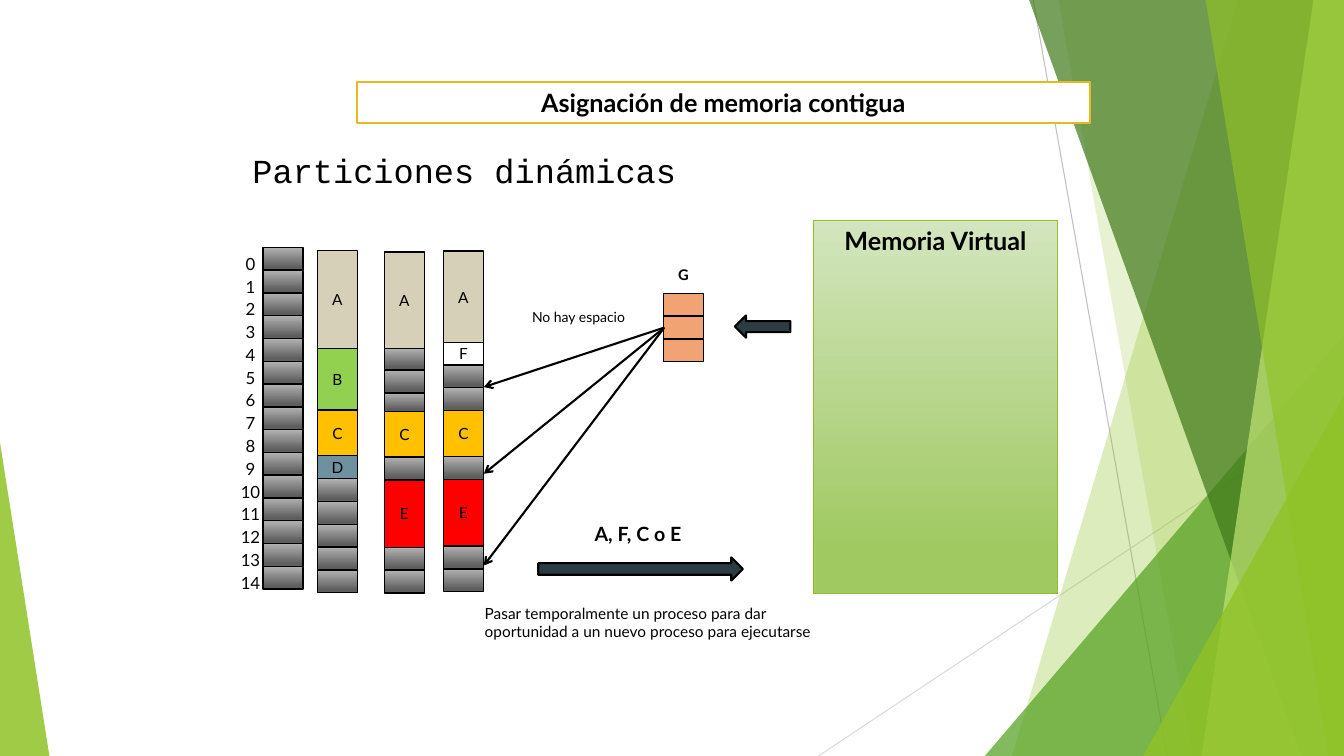
from pptx import Presentation
from pptx.dml.color import RGBColor
from pptx.enum.shapes import MSO_CONNECTOR, MSO_SHAPE
from pptx.enum.text import MSO_ANCHOR, PP_ALIGN
from pptx.oxml.ns import qn
from pptx.util import Inches, Pt
from lxml.etree import SubElement

COLS, ROWS = 133.33, 75  # ten grid cells to the inch
HUES = {
    "black": "000000", "white": "FFFFFF", "gold": "E6B91E", "slate": "2C3C43",
    "lime": "90C226", "leaf": "54A021", "moss": "3F7819", "pale": "C0E474",
    "gray": "BFBFBF", "mist": "D9D9D9", "peach": "F1A374",
    "A": "D6D0B8", "B": "92D050", "C": "FFC000", "D": "6E91A0", "E": "FF0000", "F": "FFFFFF",
    "steel": "B2B2B2", "iron": "5E5E5E", "mint": "D3E5BE", "grass": "A0C962",
}
FREE = ("steel", "iron")


def cell(n):
    return Inches(n / 10)


def hue(name):
    return RGBColor.from_string(HUES[name])


class Board:
    def __init__(self, slide, font="Lato"):
        self.shapes = slide.shapes
        self.font = font

    def paint(self, shape, fill, line=None, width=1, alpha=100):
        """Fill with one colour, or with a downward gradient if fill is a pair."""
        shape.shadow.inherit = False
        if isinstance(fill, tuple):
            shape.fill.gradient()
            shape.fill.gradient_angle = 270
            for stop, name, place in zip(shape.fill.gradient_stops, fill, (0, 0.88)):
                stop.color.rgb = hue(name)
                stop.position = place
        else:
            shape.fill.solid()
            shape.fill.fore_color.rgb = hue(fill)
        if alpha < 100:
            tint = shape._element.spPr.find(qn("a:solidFill"))[0]
            SubElement(tint, qn("a:alpha"), val=str(alpha * 1000))
        if line:
            shape.line.color.rgb = hue(line)
            shape.line.width = Pt(width)
        else:
            shape.line.fill.background()

    def label(self, shape, text, size, bold=False, align=PP_ALIGN.CENTER,
              anchor=MSO_ANCHOR.MIDDLE, wrap=True, tight=False, font=None):
        frame = shape.text_frame
        frame.text = text
        frame.word_wrap = wrap
        frame.vertical_anchor = anchor
        if tight:
            frame.margin_left = frame.margin_right = 0
            frame.margin_top = frame.margin_bottom = 0
        line = frame.paragraphs[0]
        line.alignment = align
        style = line.runs[0].font
        style.name, style.size, style.bold = font or self.font, Pt(size), bold
        style.color.rgb = hue("black")

    def box(self, x, y, w, h, fill, line=None, width=1, kind=MSO_SHAPE.RECTANGLE,
            alpha=100, adjust=None):
        shape = self.shapes.add_shape(kind, cell(x), cell(y), cell(w), cell(h))
        if adjust is not None:
            shape.adjustments[0] = adjust
        self.paint(shape, fill, line, width, alpha)
        return shape

    def text(self, x, y, w, h, words, size, **style):
        self.label(self.shapes.add_textbox(cell(x), cell(y), cell(w), cell(h)),
                   words, size, **style)

    def line(self, start, end, color, width, arrow=False):
        link = self.shapes.add_connector(MSO_CONNECTOR.STRAIGHT, *map(cell, start + end))
        link.line.color.rgb = hue(color)
        link.line.width = Pt(width)
        if arrow:
            stroke = link._element.spPr.find(qn("a:ln"))
            SubElement(stroke, qn("a:tailEnd"), type="arrow")
        SubElement(link._element.spPr, qn("a:effectLst"))

    def band(self, top, base, fill, alpha):
        """Slanted band that runs to the right edge of the slide."""
        form = self.shapes.build_freeform(cell(top), 0)
        form.add_line_segments([(cell(COLS), 0), (cell(COLS), cell(ROWS)),
                                (cell(base), cell(ROWS))])
        self.paint(form.convert_to_shape(), fill, alpha=alpha)

    def wedge(self, x, y, w, fill, alpha, tip):
        self.box(x, y, w, ROWS - y, fill, kind=MSO_SHAPE.ISOSCELES_TRIANGLE,
                 alpha=alpha, adjust=tip)

    def stack(self, x, y, parts):
        """Pile of memory blocks; a part is a name and a height."""
        for name, high in parts:
            shape = self.box(x, y, 3.95, high, name or FREE, "black")
            if name:
                self.label(shape, name, 11, tight=True)
            y += high


def scene(board):
    board.line((102.5, 0), (115.8, ROWS), "gray", 0.75)
    board.line((COLS, 40.3), (81.2, ROWS), "mist", 0.75)
    board.band(122.8, 100.4, "lime", 30)
    board.band(105, 118.3, "lime", 20)
    board.wedge(97.7, 33.3, 35.6, "leaf", 72, 1)
    board.band(102.1, 129.1, "moss", 70)
    board.band(130.3, 119.2, "pale", 70)
    board.band(119.6, 131.8, "lime", 65)
    board.wedge(113.4, 39.3, 19.9, "lime", 80, 1)
    board.wedge(0, 43.9, 4.9, "lime", 85, 0)


def memory(board):
    slot = (None, 2.26)
    board.stack(26.1, 24.55, [slot] * 15)
    board.stack(31.5, 24.85, [("A", 9.7), ("B", 6.15), ("C", 4.5), ("D", 2.3)] + [slot] * 5)
    board.stack(38.15, 25, [("A", 9.55), (None, 2.15), (None, 2.3), (None, 1.85), ("C", 4.5),
                            slot, ("E", 6.7), slot, slot])
    board.stack(44, 24.9, [("A", 9.1), ("F", 2.2), slot, slot, ("C", 4.6),
                           slot, ("E", 6.6), slot, slot])
    for row in range(15):
        board.text(22.9, 25 + 2.26 * row, 3.9, 2.3, str(row), 12, tight=True)


def swap(board):
    left, top = PP_ALIGN.LEFT, MSO_ANCHOR.TOP
    for row in range(3):
        board.box(65.85, 29.1 + 2.26 * row, 3.95, 2.26, "peach", "black")
    board.text(66.3, 25.9, 3, 2.8, "G", 10.5, bold=True, align=left, anchor=top, wrap=False)
    for end in (38.4, 47, 56.1):
        board.line((65.9, 32.5), (48, end), "black", 1.5, arrow=True)
    store = board.box(80.7, 21.9, 24.2, 37, ("mint", "grass"), "lime")
    board.label(store, "Memoria Virtual", 18, bold=True, anchor=top)
    arrow = MSO_SHAPE.RIGHT_ARROW
    board.box(72.9, 31.3, 5.5, 2.2, "slate", "black", 1.5, arrow).rotation = 180
    board.box(53.4, 55.3, 20.3, 2.3, "slate", "black", 1.5, arrow)
    board.text(58, 51.3, 11.8, 3.4, "A, F, C o E", 14, bold=True, align=left, anchor=top)
    board.text(47.1, 59.4, 35.3, 4.7, "Pasar temporalmente un proceso para dar oportunidad "
               "a un nuevo proceso para ejecutarse", 11, align=left, anchor=top)
    board.text(51.8, 30.1, 11.6, 2.7, "No hay espacio", 10, align=left, anchor=top, wrap=False)


def main():
    deck = Presentation()
    deck.slide_width, deck.slide_height = cell(COLS), cell(ROWS)
    board = Board(deck.slides.add_slide(deck.slide_layouts[6]))
    scene(board)
    memory(board)
    title = board.box(35.4, 8.1, 72.7, 4.1, "white", "gold", 1.5)
    board.label(title, "Asignación de memoria contigua", 18, bold=True)
    topic = board.box(22.3, 14.1, 47.5, 5.6, "white")
    board.label(topic, "Particiones dinámicas", 24, font="Courier New")
    swap(board)
    deck.save("out.pptx")


if __name__ == "__main__":
    main()
